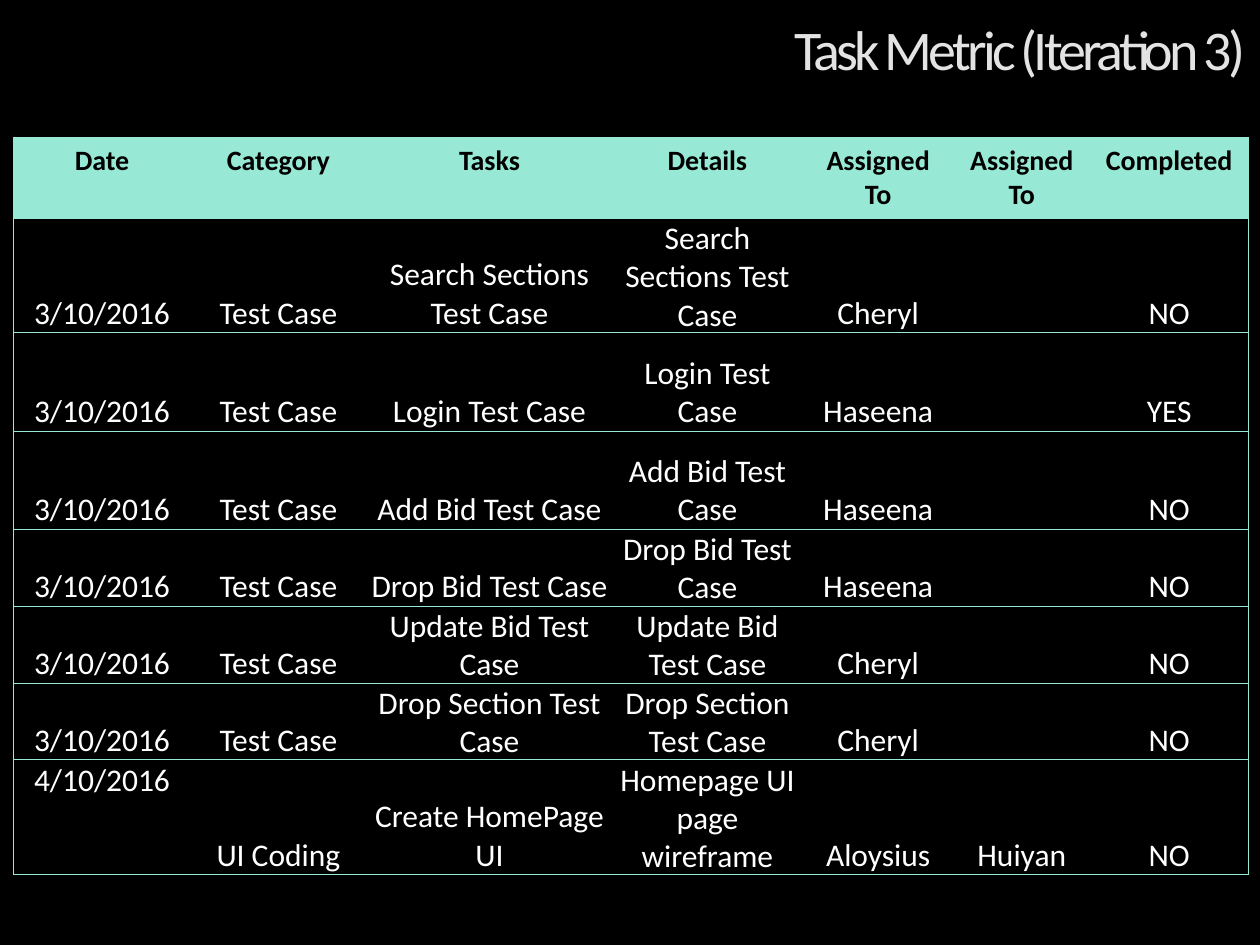
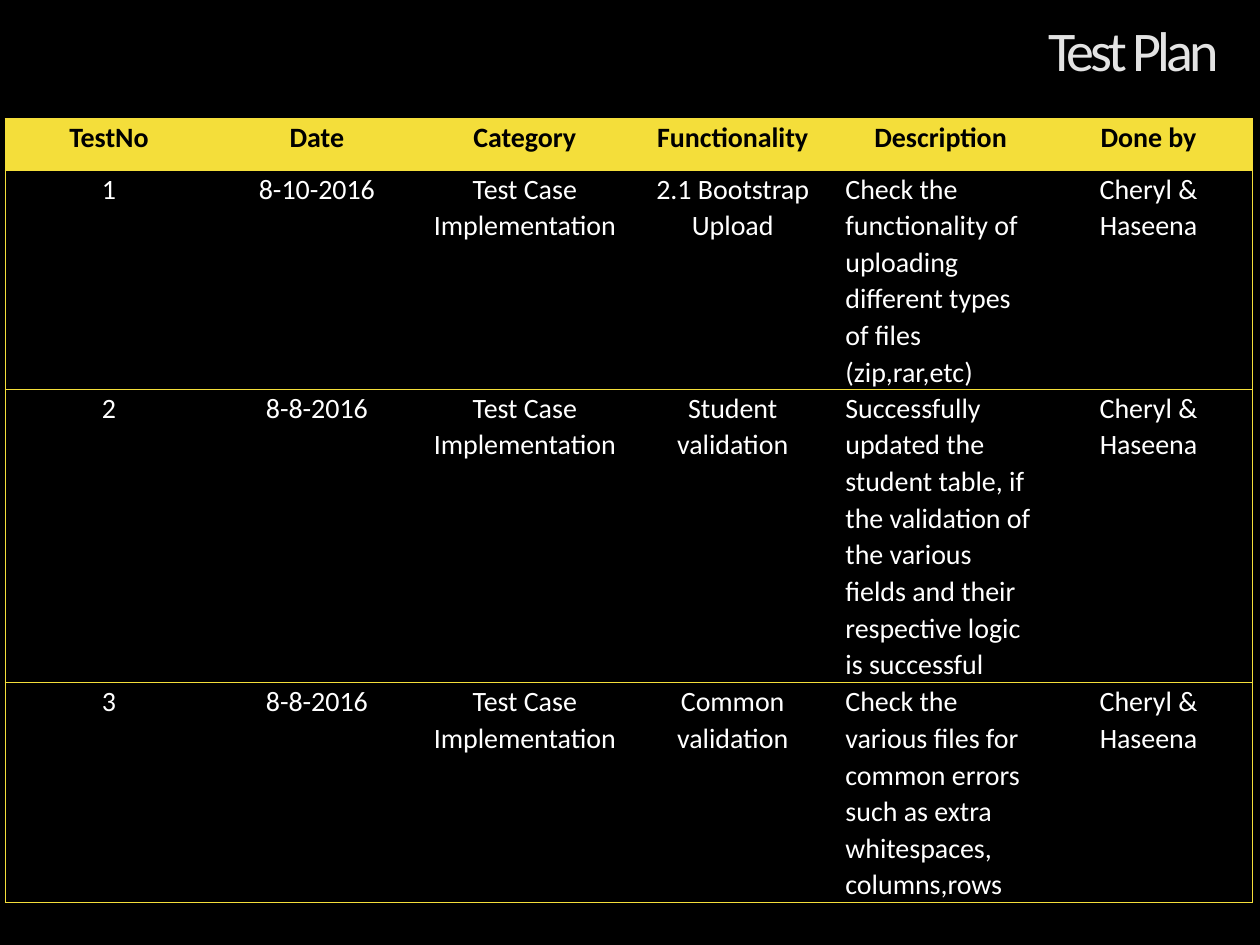
import pptx
import pptx.util
import pptx.oxml
import pptx.oxml.ns
import pptx.dml.color
import pptx.enum.text
from dataclasses import dataclass

Inches, Pt = pptx.util.Inches, pptx.util.Pt
RGB = pptx.dml.color.RGBColor.from_string
ALIGN = pptx.enum.text.PP_ALIGN
ANCHOR = pptx.enum.text.MSO_ANCHOR
FIT = pptx.enum.text.MSO_AUTO_SIZE
PLAIN_TABLE = "{2D5ABB26-0587-4C30-8999-92F81FD0307C}"


@dataclass(frozen=True)
class Theme:
    font: str = "Calibri"
    background: str = "000000"
    header_text: str = "000000"
    body_text: str = "FFFFFF"
    mint: str = "97E9D5"
    yellow: str = "F4DE3A"
    title_stops: tuple = ((1, "969696"), (32, "E3E3E3"), (100, "FFFFFF"))
    title_angle: int = 135
    title_spacing: float = -2.2
    title_size: int = 32
    header_size: int = 16
    task_size: int = 18
    plan_size: int = 16
    rule_width: float = 0.5


THEME = Theme()

TASK_HEADER = ("Date", "Category", "Tasks", "Details", "Assigned To", "Assigned To", "Completed")
TEST_CASES = (
    ("Search Sections", "Cheryl", "NO"),
    ("Login", "Haseena", "YES"),
    ("Add Bid", "Haseena", "NO"),
    ("Drop Bid", "Haseena", "NO"),
    ("Update Bid", "Cheryl", "NO"),
    ("Drop Section", "Cheryl", "NO"),
)
UI_TASK = ("4/10/2016", "UI Coding", "Create HomePage UI", "Homepage UI page wireframe",
           "Aloysius", "Huiyan", "NO")

PLAN_HEADER = ("TestNo", "Date", "Category", "Functionality", "Description", "Done by")
TESTS = (
    ("8-10-2016", "2.1 Bootstrap Upload",
     "Check the functionality of uploading different types of files (zip,rar,etc)"),
    ("8-8-2016", "Student validation",
     "Successfully updated the student table, if the validation of the various fields "
     "and their respective logic is successful"),
    ("8-8-2016", "Common validation",
     "Check the various files for common errors such as extra whitespaces, columns,rows"),
)


def apply(target, values):
    for name, value in values.items():
        setattr(target, name, value)


def xml(text):
    return pptx.oxml.parse_xml(text.replace(">", f" {pptx.oxml.ns.nsdecls('a')}>", 1))


def add_slide(prs):
    s = prs.slides.add_slide(prs.slide_layouts[6])
    s.background.fill.solid()
    s.background.fill.fore_color.rgb = RGB(THEME.background)
    return s


def add_title(s, text, box, **frame):
    tf = s.shapes.add_textbox(*map(Inches, box)).text_frame
    apply(tf, frame)
    p = tf.paragraphs[0]
    apply(p, {"alignment": ALIGN.RIGHT, "line_spacing": 0.9})
    r = p.add_run()
    r.text = text
    apply(r.font, {"name": THEME.font, "size": Pt(THEME.title_size)})
    # Letter spacing and gradient text
    props = r.font._element
    props.set("spc", str(round(THEME.title_spacing * 100)))
    stops = "".join(f'<a:gs pos="{pos * 1000}"><a:srgbClr val="{color}"/></a:gs>'
                    for pos, color in THEME.title_stops)
    props.insert(0, xml(f'<a:gradFill><a:gsLst>{stops}</a:gsLst>'
                        f'<a:lin ang="{THEME.title_angle * 60000}" scaled="0"/></a:gradFill>'))


def add_borders(cell, sides, color):
    props = cell._tc.get_or_add_tcPr()
    for side in sides:
        props.append(xml(f'<a:ln{side} w="{Pt(THEME.rule_width)}"><a:solidFill>'
                         f'<a:srgbClr val="{color}"/></a:solidFill></a:ln{side}>'))


def set_insets(cell, insets):
    names = ("margin_left", "margin_top", "margin_right", "margin_bottom")
    apply(cell, dict(zip(names, map(Inches, insets))))


def write_cell(cell, text, size, color, bold, spacing, align):
    p = cell.text_frame.paragraphs[0]
    apply(p, {"alignment": align, "line_spacing": spacing})
    r = p.add_run()
    r.text = text
    apply(r.font, {"name": THEME.font, "size": Pt(size), "bold": bold})
    r.font.color.rgb = RGB(color)


def add_ruled_table(s, rows, left, top, widths, heights, accent, body_size,
                    spacing=None, header_insets=None, body_insets=None,
                    anchor=ANCHOR.TOP, left_column=None):
    box = (left, top, sum(widths), sum(heights))
    table = s.shapes.add_table(len(rows), len(widths), *map(Inches, box)).table
    apply(table, {"first_row": False, "horz_banding": False})
    table._tbl.tblPr.find(pptx.oxml.ns.qn("a:tableStyleId")).text = PLAIN_TABLE
    for column, width in zip(table.columns, widths):
        column.width = Inches(width)
    for row, height in zip(table.rows, heights):
        row.height = Inches(height)

    last = len(widths) - 1
    for i, row in enumerate(rows):
        header = i == 0
        for j, text in enumerate(row):
            cell = table.cell(i, j)
            # Outer frame and a rule between rows
            sides = ["L"] * (j == 0) + ["R"] * (j == last) + ["T", "B"]
            add_borders(cell, sides, accent)
            if header:
                cell.fill.solid()
                cell.fill.fore_color.rgb = RGB(accent)
            else:
                cell.fill.background()
            if not text:
                continue
            insets = header_insets if header else body_insets
            if insets:
                set_insets(cell, insets)
            cell.vertical_anchor = ANCHOR.TOP if header else anchor
            align = ALIGN.LEFT if j == left_column and not header else ALIGN.CENTER
            write_cell(cell, text, THEME.header_size if header else body_size,
                       THEME.header_text if header else THEME.body_text,
                       header, spacing, align)
    return table


def task_metric(prs):
    s = add_slide(prs)
    add_title(s, "Task Metric (Iteration 3)", (5.01, 0.13, 4.97, 0.59),
              word_wrap=False, auto_size=FIT.SHAPE_TO_FIT_TEXT)
    rows = [TASK_HEADER]
    for name, person, done in TEST_CASES:
        task = f"{name} Test Case"
        rows.append(("3/10/2016", "Test Case", task, task, person, "", done))
    rows.append(UI_TASK)
    table = add_ruled_table(
        s, rows, 0.11, 1.09,
        widths=(1.4, 1.4, 1.95, 1.51, 1.2, 1.08, 1.26),
        heights=[0.64, 0.91] + [0.78] * 2 + [0.61] * 3 + [0.91],
        accent=THEME.mint, body_size=THEME.task_size,
        body_insets=(0.01, 0.01, 0.01, 0), anchor=ANCHOR.BOTTOM)
    # The date of the UI task sits at the top of its cell
    table.cell(len(rows) - 1, 0).vertical_anchor = ANCHOR.TOP


def test_plan(prs):
    s = add_slide(prs)
    rows = [PLAN_HEADER]
    for number, (date, functionality, description) in enumerate(TESTS, 1):
        rows.append((str(number), date, "Test Case Implementation",
                     functionality, description, "Cheryl & Haseena"))
    insets = (0.07, 0, 0.07, 0)
    # Row heights leave room for the full descriptions
    add_ruled_table(
        s, rows, 0.04, 0.94,
        widths=[1.65] * len(PLAN_HEADER), heights=(0.41, 1.74, 2.33, 1.74),
        accent=THEME.yellow, body_size=THEME.plan_size, spacing=1.07,
        header_insets=insets, body_insets=insets,
        left_column=PLAN_HEADER.index("Description"))
    add_title(s, "Test Plan", (1.15, -0.3, 8.62, 1.45),
              word_wrap=True, vertical_anchor=ANCHOR.MIDDLE)


def main():
    prs = pptx.Presentation()
    apply(prs, {"slide_width": Inches(10), "slide_height": Inches(7.5)})
    task_metric(prs)
    test_plan(prs)
    prs.save("out.pptx")


if __name__ == "__main__":
    main()
